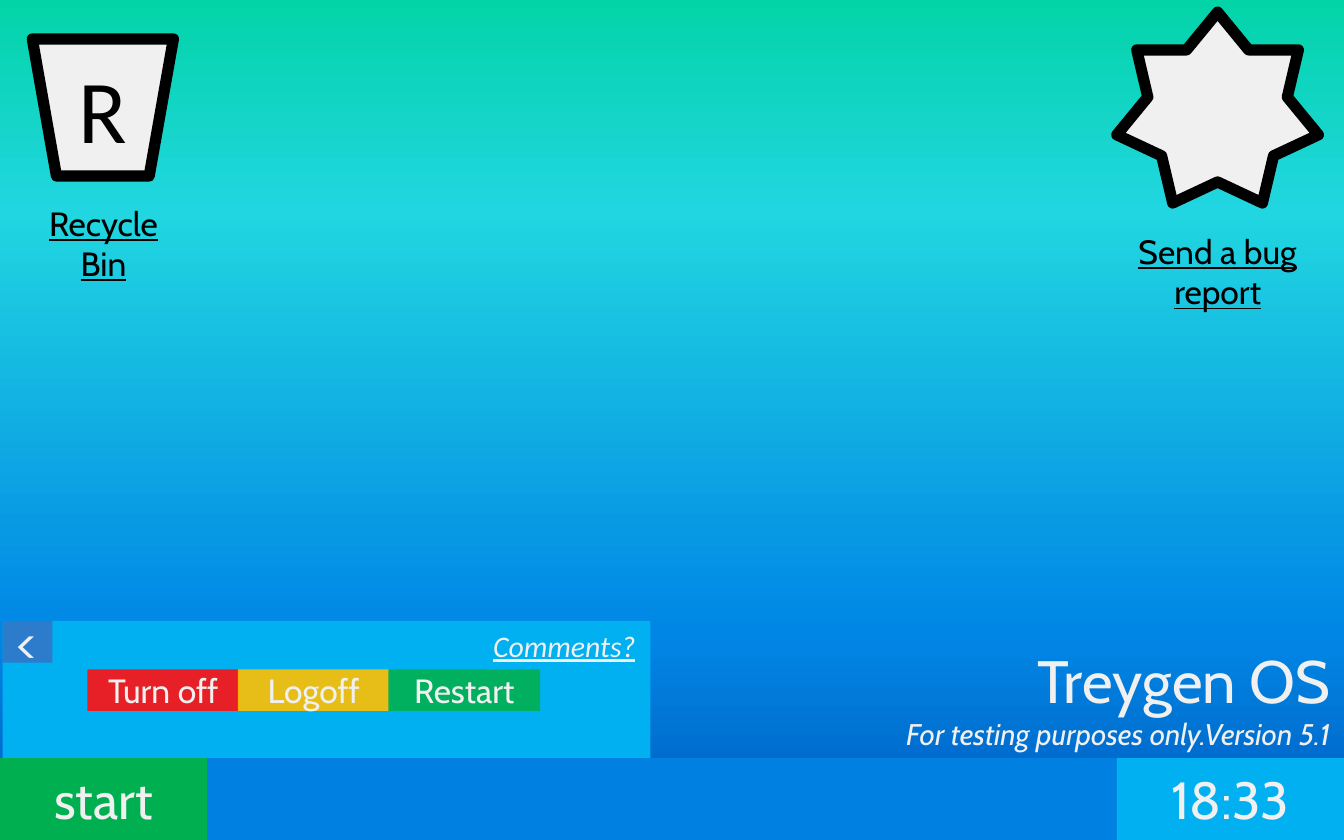
from lxml.etree import SubElement
from pptx import Presentation
from pptx.dml.color import RGBColor
from pptx.enum.shapes import MSO_SHAPE
from pptx.enum.text import MSO_ANCHOR, MSO_AUTO_SIZE, PP_ALIGN
from pptx.oxml.ns import qn
from pptx.util import Inches, Pt

THEME = {
    "sky": [(0, "03D4A8"), (25, "21D6E0"), (75, "0087E6"), (100, "005CBF")],
    "pale": "F0F0F0", "ink": "000000", "bar": "0081E2", "cyan": "00B0F0",
    "green": "00B050", "red": "FF1111", "gold": "FFC000", "steel": "3276C8",
    "main": "Cabin", "alt": "Calibri",
    "icon": 48, "name": 32, "big": 28, "mid": 18, "small": 16,
    "edge": 6, "alpha": 90,
}

# Content: label, fill
BUTTONS = [("Turn off", "red"), ("Logoff", "gold"), ("Restart", "green")]
BRAND = [("Treygen OS", {"size": "name"}),
         ("For testing purposes only.Version 5.1", {"size": "small", "italic": True})]
LINK = {"size": "mid", "color": "ink", "underline": True}
# Content: label, box, format, alignment
LABELS = [
    ("Recycle Bin", (0.08, 1.46, 1.38, 0.71), LINK, PP_ALIGN.CENTER),
    ("Send a bug report", (8.15, 1.67, 1.82, 0.71), LINK, PP_ALIGN.CENTER),
    ("Comments?", (3.57, 4.62, 1.28, 0.37),
     {"size": "small", "face": "alt", "italic": True, "underline": True}, PP_ALIGN.LEFT),
]

# Layout
WIDE, HIGH = 10, 6.25
BAR_H, START_W, CLOCK_W = 0.61, 1.54, 1.69
BAR_Y = HIGH - BAR_H
MENU = (0.02, 4.62, 4.82, BAR_Y - 4.62)
BTN_X, BTN_Y, BTN_W, BTN_H, STEP = 0.65, 4.98, 1.13, 0.31, 1.12
BIN = [(0.24, 0.29), (1.29, 0.29), (1.11, 1.31), (0.42, 1.31)]
STAR = (8.31, 0.09, 1.5, 1.42)


def tint(key):
    return RGBColor.from_string(THEME[key])


def write(para, text, align, size="mid", color="pale", face="main", **extra):
    para.alignment = align
    run = para.add_run()
    run.text = text
    run.font.color.rgb = tint(color)
    style = {"size": Pt(THEME[size]), "name": THEME[face], **extra}
    for key, value in style.items():
        setattr(run.font, key, value)


def paint(shape, fill, edge=False, clear=False):
    shape.shadow.inherit = False
    shape.fill.solid()
    shape.fill.fore_color.rgb = tint(fill)
    if edge:
        shape.line.color.rgb = tint("ink")
        shape.line.width = Pt(THEME["edge"])
    else:
        shape.line.fill.background()
    if clear:
        color = shape.fill._xPr.find(qn("a:solidFill"))[0]
        SubElement(color, qn("a:alpha"), val=str(THEME["alpha"] * 1000))


def label(shape, text, **style):
    frame = shape.text_frame
    frame.vertical_anchor = MSO_ANCHOR.MIDDLE
    write(frame.paragraphs[0], text, PP_ALIGN.CENTER, **style)


def block(slide, box, fill, text="", size="mid", kind=MSO_SHAPE.RECTANGLE, **look):
    shape = slide.shapes.add_shape(kind, *map(Inches, box))
    paint(shape, fill, **look)
    if text:
        label(shape, text, size=size)


def sky(slide):
    fill = slide.background.fill
    fill.gradient()
    fill.gradient_angle = 270
    stops = slide._element.xpath(".//p:bg//a:gsLst")[0]
    for stop in list(stops):
        stops.remove(stop)
    for pos, color in THEME["sky"]:
        stop = SubElement(stops, qn("a:gs"), pos=str(pos * 1000))
        SubElement(stop, qn("a:srgbClr"), val=color)


def main():
    deck = Presentation()
    deck.slide_width, deck.slide_height = Inches(WIDE), Inches(HIGH)
    slide = deck.slides.add_slide(deck.slide_layouts[5])
    sky(slide)

    # System name and version
    title = slide.shapes.title
    place = zip(("left", "top", "width", "height"), (6.29, 4.74, 3.71, 0.91))
    for key, value in place:
        setattr(title, key, Inches(value))
    frame = title.text_frame
    frame.word_wrap = True
    frame.auto_size = MSO_AUTO_SIZE.NONE
    frame.vertical_anchor = MSO_ANCHOR.TOP
    for i, (text, style) in enumerate(BRAND):
        para = frame.add_paragraph() if i else frame.paragraphs[0]
        write(para, text, PP_ALIGN.RIGHT, **style)

    # Desktop icons
    pen = slide.shapes.build_freeform(*map(Inches, BIN[0]))
    pen.add_line_segments([(Inches(x), Inches(y)) for x, y in BIN[1:]], close=True)
    bin_icon = pen.convert_to_shape()
    paint(bin_icon, "pale", edge=True)
    label(bin_icon, "R", size="icon", color="ink", face="alt")
    block(slide, STAR, "pale", kind=MSO_SHAPE.STAR_7_POINT, edge=True)

    # Taskbar
    block(slide, (START_W, BAR_Y, WIDE - START_W, BAR_H), "bar")
    block(slide, (0, BAR_Y, START_W, BAR_H), "green", "start", "big")
    block(slide, (WIDE - CLOCK_W, BAR_Y, CLOCK_W, BAR_H), "cyan", "18:33", "big")

    # Start menu
    block(slide, MENU, "cyan")
    block(slide, (*MENU[:2], 0.37, BTN_H), "steel", "<", "big", clear=True)
    for i, (text, fill) in enumerate(BUTTONS):
        block(slide, (BTN_X + i * STEP, BTN_Y, BTN_W, BTN_H), fill, text, clear=True)

    # Links and icon names
    for text, box, style, align in LABELS:
        frame = slide.shapes.add_textbox(*map(Inches, box)).text_frame
        frame.word_wrap = True
        write(frame.paragraphs[0], text, align, **style)

    deck.save("out.pptx")


if __name__ == "__main__":
    main()
